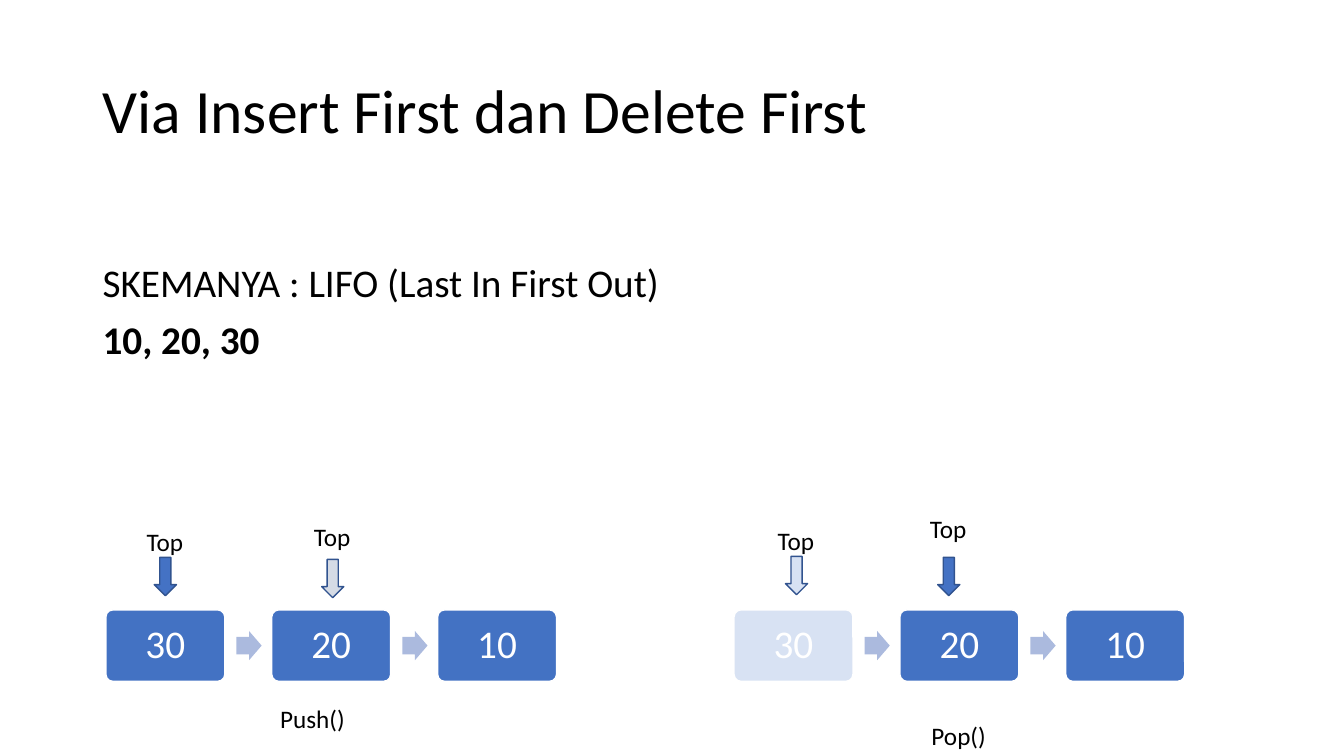
from pptx import Presentation
from pptx.dml.color import RGBColor
from pptx.enum import shapes, text
from pptx.util import Inches, Pt

# Content
TITLE = "Via Insert First dan Delete First"
SCHEME = [("SKEMANYA : LIFO (Last In First Out)", False), ("10, 20, 30", True)]

BLACK = RGBColor(0x00, 0x00, 0x00)
WHITE = RGBColor(0xFF, 0xFF, 0xFF)
NODE_BLUE = RGBColor(0x43, 0x72, 0xC3)
PALE_BLUE = RGBColor(0xD8, 0xE2, 0xF3)
LINK_BLUE = RGBColor(0xAB, 0xBA, 0xDE)
TOP_BLUE = RGBColor(0x44, 0x72, 0xC4)
TOP_GREY = RGBColor(0xD5, 0xDB, 0xE5)
TOP_EDGE = RGBColor(0x31, 0x53, 0x8F)

# Each stack: left edge and its nodes from top to bottom
STACKS = [
    (1.05, [("30", NODE_BLUE), ("20", NODE_BLUE), ("10", NODE_BLUE)]),
    (7.28, [("30", PALE_BLUE), ("20", NODE_BLUE), ("10", NODE_BLUE)]),
]
# Pointers: arrow left, arrow top, label top, fill
POINTERS = [
    (1.53, 5.53, 5.17, TOP_BLUE),
    (9.30, 5.53, 5.04, TOP_BLUE),
    (3.19, 5.55, 5.12, TOP_GREY),
    (7.79, 5.52, 5.16, PALE_BLUE),
]
# Operations: name, left, top, width
OPERATIONS = [("Push()", 2.68, 6.93, 0.85), ("Pop()", 9.14, 7.1, 0.75)]

# Layout
NODE_TOP, NODE_W, NODE_H, NODE_STEP = 6.05, 1.18, 0.71, 1.645
LINK_OFFSET, LINK_W, LINK_H = 1.295, 0.25, 0.29
POINTER_W, POINTER_H = 0.22, 0.38
LABEL_W, LABEL_H = 0.57, 0.4

deck = Presentation()
deck.slide_width, deck.slide_height = Inches(13.33), Inches(7.5)
slide = deck.slides.add_slide(deck.slide_layouts[6])


def write(frame, lines, size, color=BLACK, spacing=1.0, align=text.PP_ALIGN.LEFT):
    for i, (line, bold) in enumerate(lines):
        paragraph = frame.paragraphs[0] if i == 0 else frame.add_paragraph()
        paragraph.alignment = align
        paragraph.line_spacing = spacing
        paragraph.space_before = Pt(10 if i else 0)
        run = paragraph.add_run()
        run.text = line
        run.font.color.rgb = color
        formats = {"name": "Calibri", "size": Pt(size), "bold": bold}
        for key, value in formats.items():
            setattr(run.font, key, value)


def add_text(box, lines, size, wrap=True, anchor=text.MSO_ANCHOR.TOP, spacing=1.0):
    frame = slide.shapes.add_textbox(*map(Inches, box)).text_frame
    frame.word_wrap = wrap
    frame.vertical_anchor = anchor
    write(frame, lines, size, spacing=spacing)


def add_block(preset, box, fill, adjustments, edge=None):
    block = slide.shapes.add_shape(preset, *map(Inches, box))
    block.shadow.inherit = False
    block.fill.solid()
    block.fill.fore_color.rgb = fill
    for i, value in enumerate(adjustments):
        block.adjustments[i] = value
    if edge is None:
        block.line.fill.background()
    else:
        block.line.color.rgb = edge
        block.line.width = Pt(1)
    return block


# Title and scheme
add_text((0.92, 0.4, 11.5, 1.45), [(TITLE, False)], 44,
         anchor=text.MSO_ANCHOR.MIDDLE, spacing=0.9)
add_text((0.92, 2.57, 11.5, 4.19), SCHEME, 28, spacing=0.9)

# Stacks of linked nodes
for stack_left, nodes in STACKS:
    for i, (value, fill) in enumerate(nodes):
        left = stack_left + i * NODE_STEP
        node = add_block(shapes.MSO_SHAPE.ROUNDED_RECTANGLE,
                         (left, NODE_TOP, NODE_W, NODE_H), fill, [0.1], WHITE)
        node.text_frame.vertical_anchor = text.MSO_ANCHOR.MIDDLE
        write(node.text_frame, [(value, False)], 28, WHITE, 0.9, text.PP_ALIGN.CENTER)
        if i < len(nodes) - 1:
            link_top = NODE_TOP + (NODE_H - LINK_H) / 2
            add_block(shapes.MSO_SHAPE.RIGHT_ARROW,
                      (left + LINK_OFFSET, link_top, LINK_W, LINK_H),
                      LINK_BLUE, [0.6, 0.5])

# Top pointers
for left, arrow_top, label_top, fill in POINTERS:
    add_block(shapes.MSO_SHAPE.DOWN_ARROW,
              (left, arrow_top, POINTER_W, POINTER_H), fill, [0.5, 0.5], TOP_EDGE)
    label_left = left + (POINTER_W - LABEL_W) / 2
    add_text((label_left, label_top, LABEL_W, LABEL_H), [("Top", False)], 18, wrap=False)

# Operation names
for name, left, top, width in OPERATIONS:
    add_text((left, top, width, LABEL_H), [(name, False)], 18, wrap=False)

deck.save("out.pptx")
